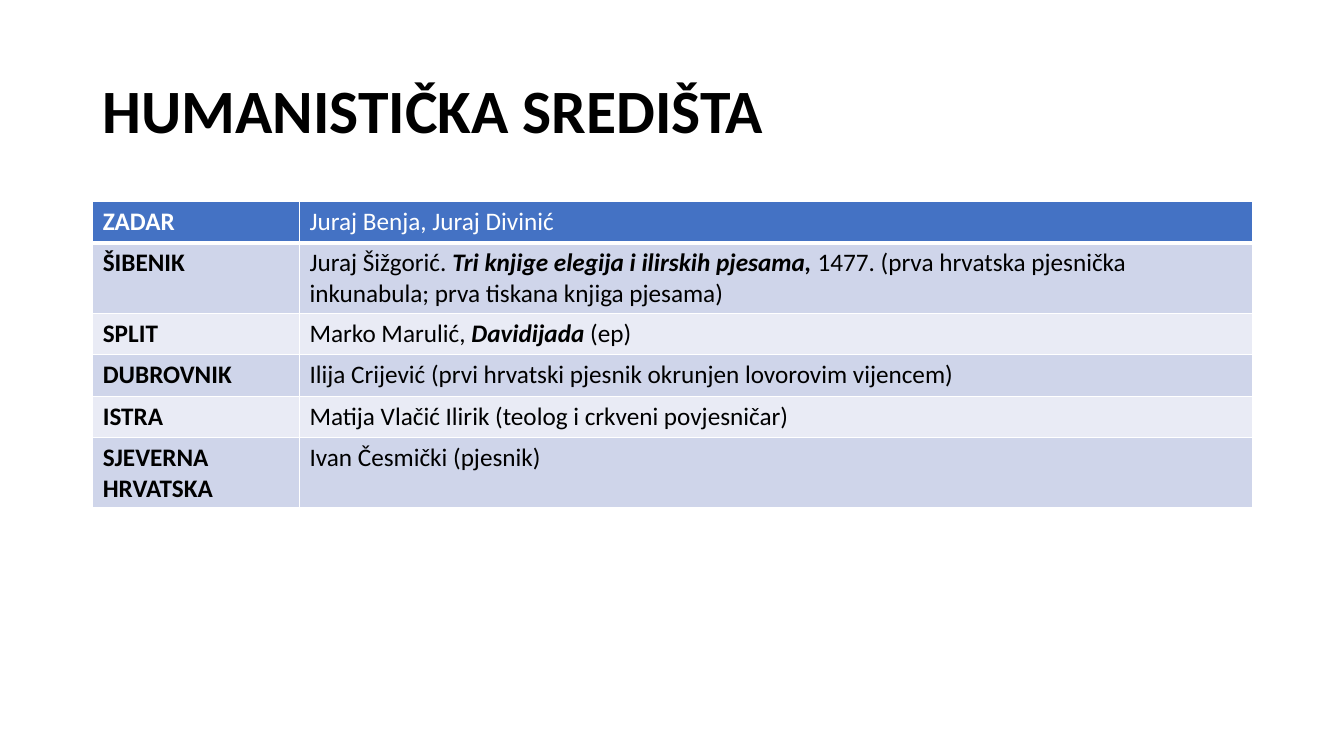
from lxml import etree
from pptx import Presentation
from pptx import util as u
from pptx.dml.color import RGBColor
from pptx.enum import text
from pptx.oxml import ns

PX = 9144  # EMU per px, 100 px to the inch
FONT = "Calibri"
BLACK = RGBColor(0x00, 0x00, 0x00)
WHITE = RGBColor(0xFF, 0xFF, 0xFF)
HEADER = RGBColor(0x44, 0x72, 0xC4)
BANDS = [RGBColor(0xE9, 0xEB, 0xF5), RGBColor(0xCF, 0xD5, 0xEA)]

LEFT, WIDTH = 92, 1150
COLUMNS = [205, 945]
ROW_HEIGHT = 41

# Each centre with its humanists: (text, is a title of a work)
CENTRES = [
    ("ZADAR", [("Juraj Benja, Juraj Divinić", False)]),
    ("ŠIBENIK", [
        ("Juraj Šižgorić. ", False),
        ("Tri knjige elegija i ilirskih pjesama, ", True),
        ("1477. (prva hrvatska pjesnička inkunabula; prva tiskana knjiga pjesama)", False),
    ]),
    ("SPLIT", [("Marko Marulić, ", False), ("Davidijada", True), (" (ep)", False)]),
    ("DUBROVNIK", [("Ilija Crijević (prvi hrvatski pjesnik okrunjen lovorovim vijencem)", False)]),
    ("ISTRA", [("Matija Vlačić Ilirik (teolog i crkveni povjesničar)", False)]),
    ("SJEVERNA HRVATSKA", [("Ivan Česmički (pjesnik)", False)]),
]


def add_span(para, words, size, color, bold, italic=False):
    span = para.add_run()
    span.text = words
    font = span.font
    font.name, font.size, font.bold, font.italic = FONT, u.Pt(size), bold, italic
    font.color.rgb = color


def add_borders(cell, widths):
    properties = cell._tc.get_or_add_tcPr()
    for side, width in widths.items():
        line = etree.SubElement(properties, ns.qn(f"a:ln{side}"), w=str(u.Pt(width)))
        fill = etree.SubElement(line, ns.qn("a:solidFill"))
        etree.SubElement(fill, ns.qn("a:srgbClr"), val=str(WHITE))


deck = Presentation()
deck.slide_width, deck.slide_height = 1333 * PX, 750 * PX
page = deck.slides.add_slide(deck.slide_layouts[6])

# Title
box = page.shapes.add_textbox(LEFT * PX, 40 * PX, WIDTH * PX, 145 * PX)
frame = box.text_frame
frame.word_wrap = True
frame.vertical_anchor = text.MSO_ANCHOR.MIDDLE
frame.paragraphs[0].line_spacing = 0.9
add_span(frame.paragraphs[0], "HUMANISTIČKA SREDIŠTA", 44, BLACK, True)

# Table of centres
table = page.shapes.add_table(
    len(CENTRES), len(COLUMNS), LEFT * PX, 200 * PX, WIDTH * PX, ROW_HEIGHT * len(CENTRES) * PX
).table
for column, width in zip(table.columns, COLUMNS):
    column.width = width * PX

for index, (centre, humanists) in enumerate(CENTRES):
    table.rows[index].height = ROW_HEIGHT * PX
    is_header = index == 0
    color = WHITE if is_header else BLACK
    name_cell, people_cell = table.rows[index].cells
    for cell in (name_cell, people_cell):
        add_borders(cell, {"L": 1, "R": 1, "T": 3 if index == 1 else 1, "B": 3 if is_header else 1})
        cell.fill.solid()
        cell.fill.fore_color.rgb = HEADER if is_header else BANDS[index % 2]
    add_span(name_cell.text_frame.paragraphs[0], centre, 18, color, True)
    for words, is_work in humanists:
        add_span(people_cell.text_frame.paragraphs[0], words, 18, color, is_work, is_work)

deck.save("out.pptx")
